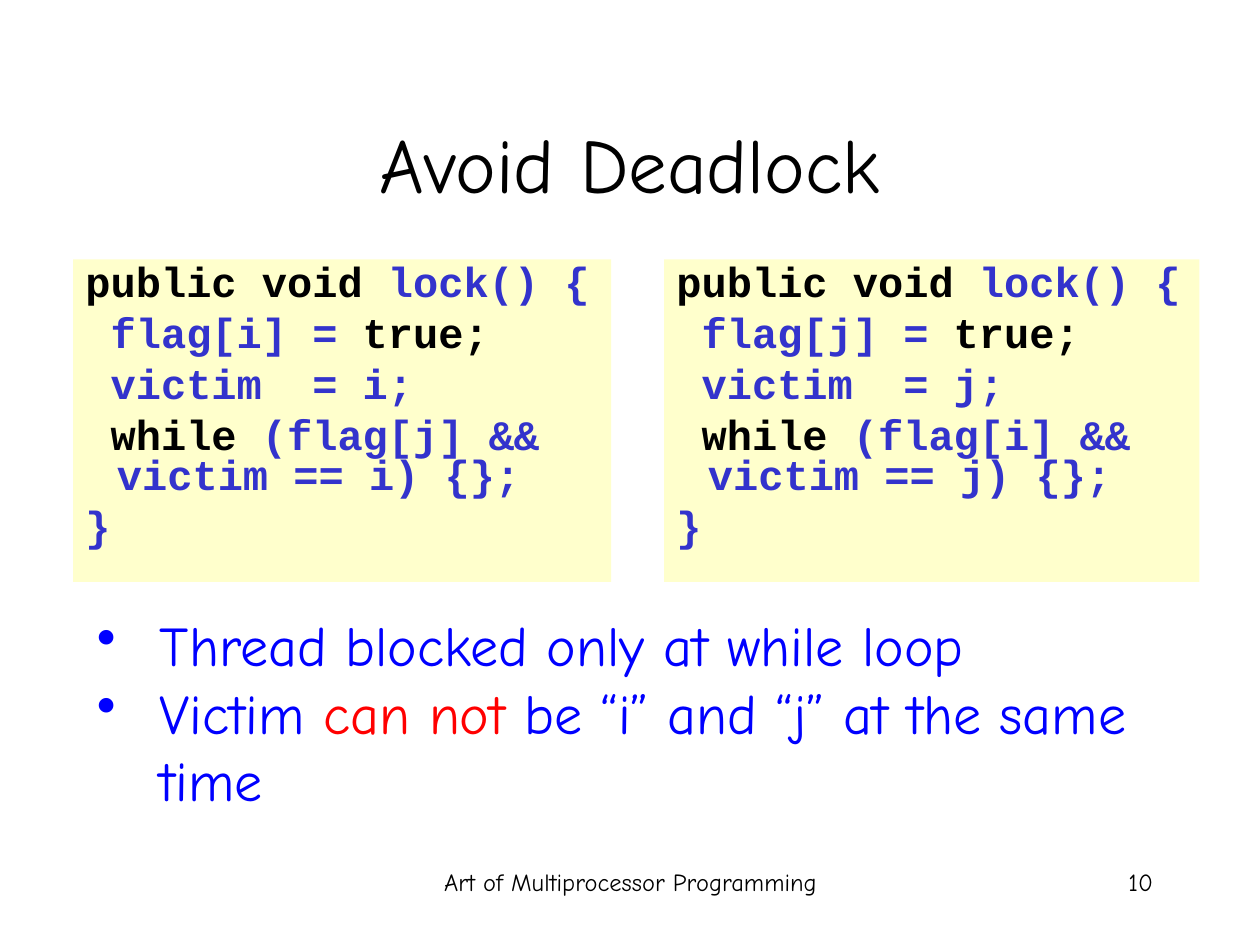
from lxml.etree import SubElement
from pptx import Presentation
from pptx.dml.color import RGBColor
from pptx.enum.shapes import MSO_SHAPE as Shape
from pptx.enum.text import MSO_ANCHOR as Anchor, MSO_AUTO_SIZE as AutoSize, PP_ALIGN as Align
from pptx.oxml.ns import qn
from pptx.util import Inches, Pt

BODY_FONT, CODE_FONT = "Comic Neue", "Courier New"
BLACK, BLUE, RED = "000000", "0000FF", "FF0000"
CODE_BLUE, CODE_FILL = "3333CC", "FFFFCC"


def color(hex_value):
    """Turn a hex string into a colour."""
    return RGBColor.from_string(hex_value)


def style_run(run, size, hex_value, font_name=BODY_FONT, bold=False):
    """Format one run of text."""
    run.font.name = font_name
    run.font.size = Pt(size)
    run.font.bold = bold
    run.font.color.rgb = color(hex_value)


def fill_lines(frame, lines, indent, **style):
    """Write lines of (text, colour) pieces with a hanging indent."""
    for number, pieces in enumerate(lines):
        line = frame.add_paragraph() if number else frame.paragraphs[0]
        line.alignment = Align.LEFT
        properties = line._p.get_or_add_pPr()
        properties.set("marL", str(Inches(indent)))
        properties.set("indent", str(-Inches(indent)))
        for text, hex_value in pieces:
            run = line.add_run()
            run.text = text
            style_run(run, hex_value=hex_value, **style)


def add_title(slide, left, top, width, height, text):
    """Place and format the slide title."""
    title = slide.shapes.title
    title.left, title.top = Inches(left), Inches(top)
    title.width, title.height = Inches(width), Inches(height)
    frame = title.text_frame
    frame.text = text
    frame.auto_size = AutoSize.NONE
    frame.vertical_anchor = Anchor.MIDDLE
    frame.paragraphs[0].alignment = Align.CENTER
    style_run(frame.paragraphs[0].runs[0], 44, BLACK)


def add_code(slide, left, top, width, height, me, other):
    """Draw the lock method of one thread on a pale panel."""
    panel = slide.shapes.add_shape(
        Shape.RECTANGLE, Inches(left), Inches(top), Inches(width), Inches(height))
    panel.shadow.inherit = False
    panel.fill.solid()
    panel.fill.fore_color.rgb = color(CODE_FILL)
    panel.line.fill.background()
    frame = panel.text_frame
    frame.word_wrap = True
    frame.vertical_anchor = Anchor.TOP
    lines = [
        [("public void ", BLACK), ("lock() {", CODE_BLUE)],
        [(f" flag[{me}] =", CODE_BLUE), (" true;", BLACK)],
        [(f" victim  = {me};", CODE_BLUE)],
        [(" while ", BLACK), (f"(flag[{other}] && victim == {me}) {{}};", CODE_BLUE)],
        [("}", CODE_BLUE)],
    ]
    fill_lines(frame, lines, 0.25, size=24, font_name=CODE_FONT, bold=True)
    for number, line in enumerate(frame.paragraphs):
        line.line_spacing = 0.8
        if number:
            line.space_before = Pt(6)


def add_points(slide, left, top, width, height, points):
    """Place the bulleted conclusions."""
    box = slide.shapes.add_textbox(
        Inches(left), Inches(top), Inches(width), Inches(height))
    frame = box.text_frame
    frame.word_wrap = True
    fill_lines(frame, points, 0.5, size=32)
    for point in frame.paragraphs:
        properties = point._p.get_or_add_pPr()
        bullet_color = SubElement(properties, qn("a:buClr"))
        SubElement(bullet_color, qn("a:srgbClr"), val=BLUE)
        SubElement(properties, qn("a:buChar"), char="•")


def add_footer(slide, left, top, width, height, text, alignment):
    """Place one footer text."""
    box = slide.shapes.add_textbox(
        Inches(left), Inches(top), Inches(width), Inches(height))
    frame = box.text_frame
    frame.word_wrap = True
    frame.text = text
    frame.paragraphs[0].alignment = alignment
    style_run(frame.paragraphs[0].runs[0], 14, BLACK)


def main():
    """Build the slide and save it."""
    deck = Presentation()
    deck.slide_width, deck.slide_height = Inches(10), Inches(7.5)
    slide = deck.slides.add_slide(deck.slide_layouts[5])
    add_title(slide, 0.75, 0.67, 8.5, 1.25, "Avoid Deadlock")
    add_footer(slide, 3.42, 6.83, 3.17, 0.5, "Art of Multiprocessor Programming", Align.CENTER)
    add_footer(slide, 7.17, 6.83, 2.08, 0.5, "10", Align.RIGHT)
    add_code(slide, 0.58, 2.06, 4.27, 2.56, "i", "j")
    add_code(slide, 5.27, 2.06, 4.25, 2.56, "j", "i")
    add_points(slide, 0.67, 4.8, 8.76, 1.7, [
        [("Thread blocked only at while loop", BLUE)],
        [("Victim ", BLUE), ("can not ", RED), ("be “i” and “j” at the same time", BLUE)],
    ])
    deck.save("out.pptx")


if __name__ == "__main__":
    main()
